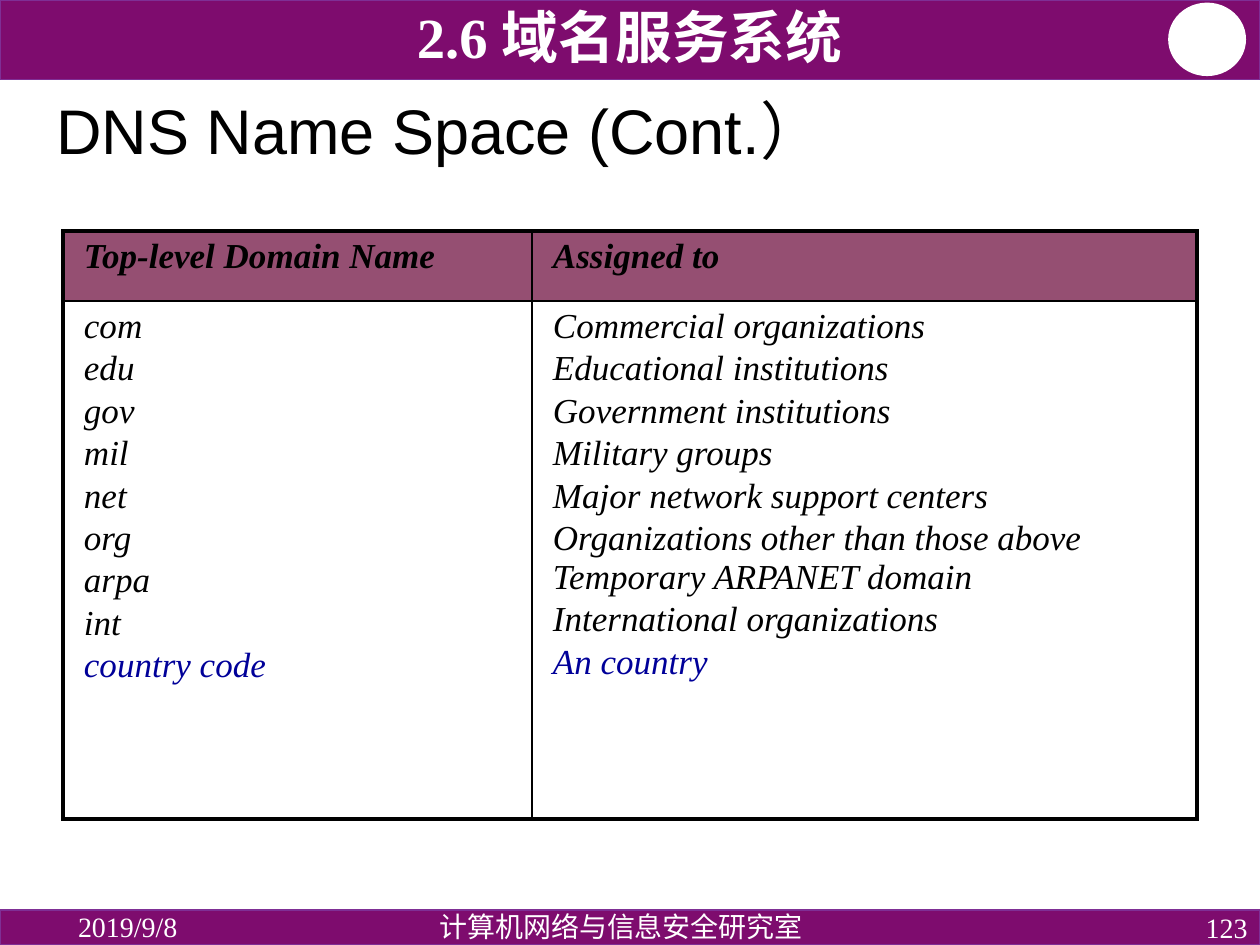
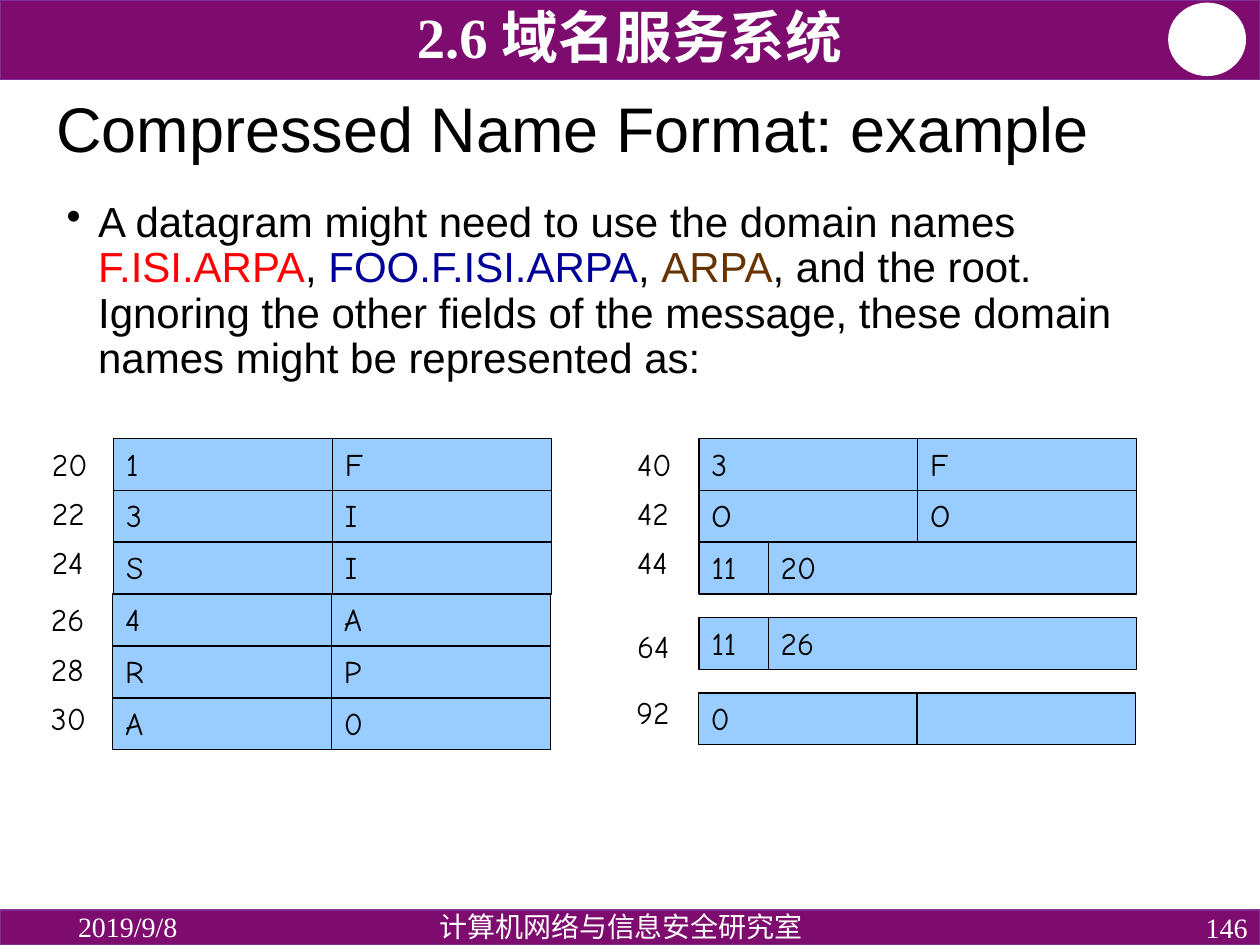
from dataclasses import dataclass

from lxml import etree
from pptx import Presentation
from pptx.dml.color import RGBColor
from pptx.enum import shapes as sh, text as tx
from pptx.oxml import ns
from pptx.util import Pt

# Shared content
HEAD = "2.6 域名服务系统"
DATE = "2019/9/8"
LAB = "计算机网络与信息安全研究室"

# Slide 1: domain table
DNS = {"title": "DNS Name Space (Cont.）", "page": "123", "high": 57}
COLS = ["Top-level Domain Name", "Assigned to"]
CODES = ["com", "edu", "gov", "mil", "net", "org", "arpa", "int",
         "country code"]
USES = ["Commercial organizations", "Educational institutions",
        "Government institutions", "Military groups",
        "Major network support centers",
        "Organizations other than those above Temporary ARPANET domain",
        "International organizations", "An country"]

# Slide 2: intro runs (text, colour) and memory blocks
NAMES = {"title": "Compressed Name Format: example", "page": "146", "high": 55}
INTRO = [("A datagram might need to use the domain names ", "ink"),
         ("F.ISI.ARPA", "red"), (", ", "ink"),
         ("FOO.F.ISI.ARPA", "navy"), (", ", "ink"), ("ARPA", "brown"),
         (", and the root.  Ignoring the other fields of the message, "
          "these domain names might be represented as:", "ink")]
HALF, LINK = (125, 125), (39.5, 210.5)
# left, top, label shift, rows of (label, cells, widths)
BLOCKS = [
    (65, 250.5, 0, [("20", "1F", HALF), ("22", "3I", HALF),
                    ("24", "SI", HALF)]),
    (64.5, 339.5, 0, [("26", "4A", HALF), ("28", "RP", HALF),
                      ("30", "A0", HALF)]),
    (399.5, 250.5, 0, [("40", "3F", HALF), ("42", "OO", HALF),
                       ("44", ["11", "20"], LINK)]),
    (399.5, 353, 2, [("64", ["11", "26"], LINK)]),
    (399, 396, -3.5, [("92", ["0", ""], HALF)]),
]


@dataclass(frozen=True)
class Theme:
    band: str = "7E0C6E"
    edge: str = "7F2F95"
    white: str = "FFFFFF"
    ink: str = "000000"
    plum: str = "954F72"
    navy: str = "000099"
    red: str = "FF0000"
    brown: str = "663300"
    sky: str = "99CCFF"
    serif: str = "Times New Roman"
    sans: str = "Arial"
    hand: str = "Comic Neue"
    head: float = 32.4
    title: int = 36
    body: int = 24
    table: int = 20
    cell: int = 18
    foot: int = 16


T = Theme()
LEFT, MID, RIGHT = tx.PP_ALIGN.LEFT, tx.PP_ALIGN.CENTER, tx.PP_ALIGN.RIGHT
TOP, CORE, BASE = (tx.MSO_ANCHOR.TOP, tx.MSO_ANCHOR.MIDDLE,
                   tx.MSO_ANCHOR.BOTTOM)


def rgb(name):
    return RGBColor.from_string(getattr(T, name))


def write(frame, paras, size, font, color="ink", bold=False, slant=False,
          align=LEFT, anchor=TOP, space=None, before=0, bullet=None):
    """Fill a frame; each paragraph is a string or a list of (text, colour)."""
    frame.word_wrap = True
    frame.vertical_anchor = anchor
    for n, part in enumerate([paras] if isinstance(paras, str) else paras):
        para = frame.add_paragraph() if n else frame.paragraphs[0]
        para.alignment = align
        if space:
            para.line_spacing = space
        if n and before:
            para.space_before = Pt(before)
        if bullet:
            props = para._p.get_or_add_pPr()
            props.set("marL", str(Pt(18)))
            props.set("indent", str(Pt(-18)))
            etree.SubElement(props, ns.qn("a:buChar")).set("char", bullet)
        for words, tint in [(part, color)] if isinstance(part, str) else part:
            run = para.add_run()
            run.text = words
            face = run.font
            face.size, face.name = Pt(size), font
            face.bold, face.italic = bold, slant
            face.color.rgb = rgb(tint)


def label(slide, box, words, size, font, **form):
    item = slide.shapes.add_textbox(*map(Pt, box))
    write(item.text_frame, words, size, font, **form)


def block(slide, box, fill, line, width=1, kind=sh.MSO_SHAPE.RECTANGLE):
    item = slide.shapes.add_shape(kind, *map(Pt, box))
    item.shadow.inherit = False
    item.fill.solid()
    item.fill.fore_color.rgb = rgb(fill)
    item.line.color.rgb = rgb(line)
    item.line.width = Pt(width)
    return item


def page(deck, info):
    """Add a slide with bands, footer and title."""
    slide = deck.slides.add_slide(deck.slide_layouts[5])
    block(slide, (0, 0, 720, 45.5), "band", "edge")
    block(slide, (668, 2, 43.5, 41), "white", "white",
          kind=sh.MSO_SHAPE.OVAL)
    block(slide, (0, 520, 720, 20), "band", "edge")
    foot = dict(size=T.foot, font=T.serif, color="white")
    label(slide, (37.5, 520, 162, 19), DATE, anchor=CORE, **foot)
    label(slide, (558, 520, 162, 20), info["page"], anchor=CORE,
          align=RIGHT, **foot)
    label(slide, (194, 518.5, 322, 20), LAB, align=MID, space=0.9, **foot)
    label(slide, (52, 3, 615.5, 40), HEAD, T.head, T.serif, color="white",
          bold=True, align=MID, anchor=BASE, space=0.8)
    title = slide.shapes.title
    title.left, title.top = Pt(25), Pt(48)
    title.width, title.height = Pt(646.5), Pt(info["high"])
    title.text_frame.auto_size = tx.MSO_AUTO_SIZE.NONE
    write(title.text_frame, info["title"], T.title, T.sans,
          anchor=CORE, space=0.9)
    return slide


def border(cell, sides):
    """Draw cell borders before the fill; sides maps a tag to a width."""
    props = cell._tc.get_or_add_tcPr()
    for n, (tag, width) in enumerate(sides.items()):
        line = etree.Element(ns.qn("a:" + tag), w=str(Pt(width)))
        fill = etree.SubElement(line, ns.qn("a:solidFill"))
        etree.SubElement(fill, ns.qn("a:srgbClr"), val=T.ink)
        props.insert(n, line)


def domains(deck):
    slide = page(deck, DNS)
    grid = slide.shapes.add_table(2, 2, *map(Pt, (36, 132, 648, 336))).table
    for n, (wide, high) in enumerate(zip((268, 380), (40, 296))):
        grid.columns[n].width, grid.rows[n].height = Pt(wide), Pt(high)
    # The last entry of each list stands out
    lists = [[*items[:-1], [(items[-1], "navy")]] for items in (CODES, USES)]
    for r, row in enumerate((COLS, lists)):
        for c, words in enumerate(row):
            cell = grid.cell(r, c)
            cell.fill.solid()
            cell.fill.fore_color.rgb = rgb("white" if r else "plum")
            cell.margin_left, cell.margin_right = Pt(12), Pt(7.2)
            cell.margin_top = cell.margin_bottom = Pt(3.6)
            write(cell.text_frame, words, T.table, T.serif, bold=not r,
                  slant=True, before=2)
            border(cell, {"lnL": 1 if c else 2.25, "lnR": 2.25 if c else 1,
                          "lnT": 1 if r else 2.25, "lnB": 2.25 if r else 1})


def memory(deck):
    slide = page(deck, NAMES)
    label(slide, (31, 111.5, 658, 130), [INTRO], T.body, T.sans,
          space=0.9, bullet="•")
    high, step, side = 29.65, 28.25, 42.5
    for left, top, shift, rows in BLOCKS:
        for n, (mark, cells, widths) in enumerate(rows):
            label(slide, (left - side, top + shift + n * step, side, 29),
                  mark, T.cell, T.hand)
            x = left
            for words, wide in zip(cells, widths):
                item = block(slide, (x, top + n * high, wide, high),
                             "sky", "ink", 0.75)
                if words:
                    write(item.text_frame, words, T.cell, T.hand)
                x += wide


def main():
    deck = Presentation()
    deck.slide_width, deck.slide_height = Pt(720), Pt(540)
    domains(deck)
    memory(deck)
    deck.save("out.pptx")


if __name__ == "__main__":
    main()
